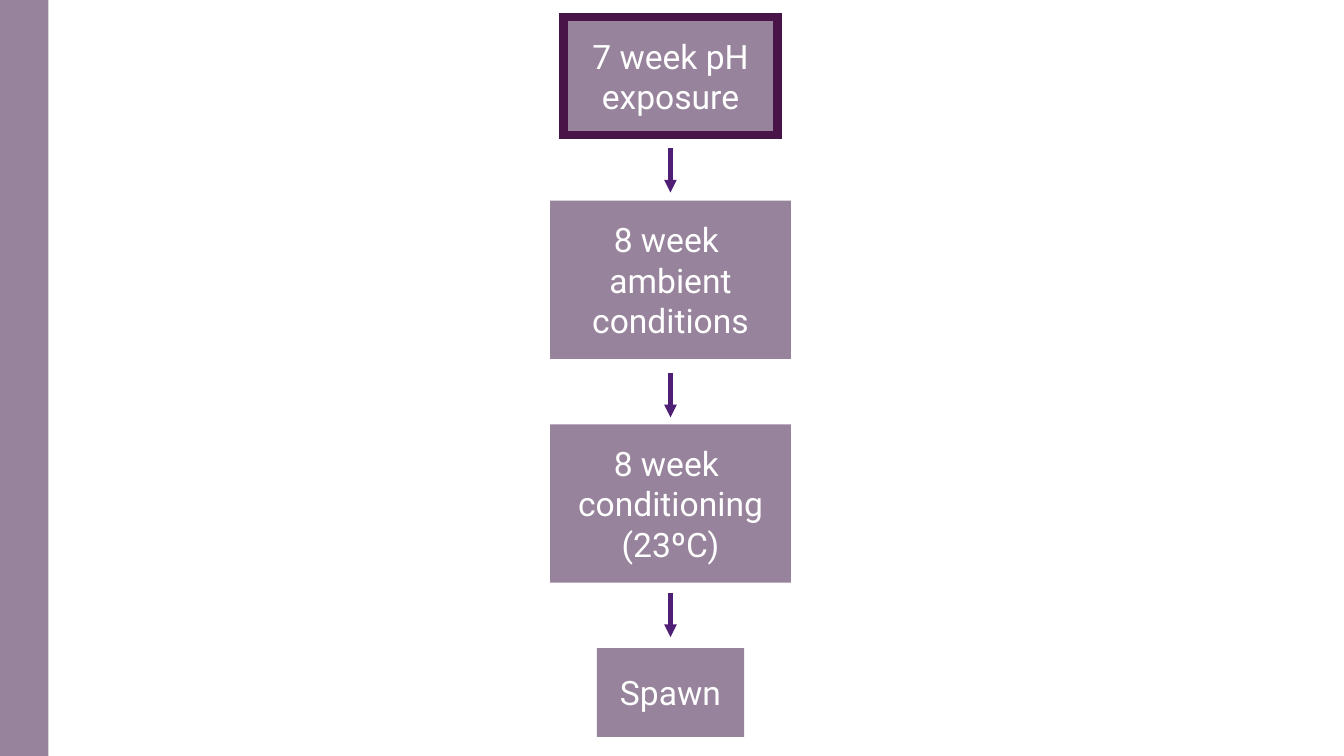
from lxml import etree
from pptx import Presentation
from pptx.dml.color import RGBColor
from pptx.enum.shapes import MSO_CONNECTOR, MSO_SHAPE
from pptx.enum.text import MSO_ANCHOR, PP_ALIGN
from pptx.oxml.ns import qn
from pptx.util import Inches, Pt

RECT = MSO_SHAPE.RECTANGLE
LINE = MSO_CONNECTOR.STRAIGHT
MIDDLE = MSO_ANCHOR.MIDDLE
CENTER = PP_ALIGN.CENTER

MAUVE = RGBColor(0x7E, 0x65, 0x83)
PLUM = RGBColor(0x49, 0x14, 0x47)
VIOLET = RGBColor(0x4F, 0x1F, 0x76)
WHITE = RGBColor(0xFF, 0xFF, 0xFF)

AXIS = 6.65  # horizontal centre of the flow
DROP = 0.44  # length of each arrow

# top, width, height, paragraphs
STEPS = [
    (0.17, 2.12, 1.17, ["7 week pH exposure"]),
    (1.99, 2.39, 1.57, ["8 week ", "ambient conditions"]),
    (4.21, 2.39, 1.57, ["8 week ", "conditioning (23ºC)"]),
    (6.43, 1.46, 0.88, ["Spawn"]),
]
ARROWS = [1.47, 3.7, 5.88]


class Flow:
    """Draws the flow chart elements on one slide."""

    font = "Roboto"
    size = Pt(24)

    def __init__(self, slide):
        self.shapes = slide.shapes

    def panel(self, left, top, width, height):
        """Add a mauve rectangle at 80 % opacity."""
        box = self.shapes.add_shape(
            RECT, Inches(left), Inches(top), Inches(width), Inches(height))
        box.shadow.inherit = False
        box.fill.solid()
        box.fill.fore_color.rgb = MAUVE
        color = box.fill._xPr.find(qn("a:solidFill"))[0]
        etree.SubElement(color, qn("a:alpha"), val="80000")
        box.line.fill.background()
        return box

    def step(self, top, width, height, lines):
        box = self.panel(AXIS - width / 2, top, width, height)
        frame = box.text_frame
        frame.word_wrap = True
        frame.vertical_anchor = MIDDLE
        for i, line in enumerate(lines):
            para = frame.add_paragraph() if i else frame.paragraphs[0]
            para.alignment = CENTER
            run = para.add_run()
            run.text = line
            run.font.name = self.font
            run.font.size = self.size
            run.font.color.rgb = WHITE
        return box

    def frame(self, box):
        box.line.color.rgb = PLUM
        box.line.width = Pt(6)
        etree.SubElement(box.line._get_or_add_ln(), qn("a:miter"), lim="800000")

    def arrow(self, top):
        x = Inches(AXIS)
        link = self.shapes.add_connector(
            LINE, x, Inches(top), x, Inches(top + DROP))
        link.line.color.rgb = VIOLET
        link.line.width = Pt(3)
        etree.SubElement(
            link.line._get_or_add_ln(), qn("a:tailEnd"), type="triangle")
        etree.SubElement(link._element.spPr, qn("a:effectLst"))


def main():
    deck = Presentation()
    deck.slide_width = Inches(13.33)
    deck.slide_height = Inches(7.5)
    flow = Flow(deck.slides.add_slide(deck.slide_layouts[6]))

    flow.panel(0, 0, 0.48, 7.5)
    boxes = [flow.step(*step) for step in STEPS]
    flow.frame(boxes[0])
    for top in ARROWS:
        flow.arrow(top)

    deck.save("out.pptx")


if __name__ == "__main__":
    main()
